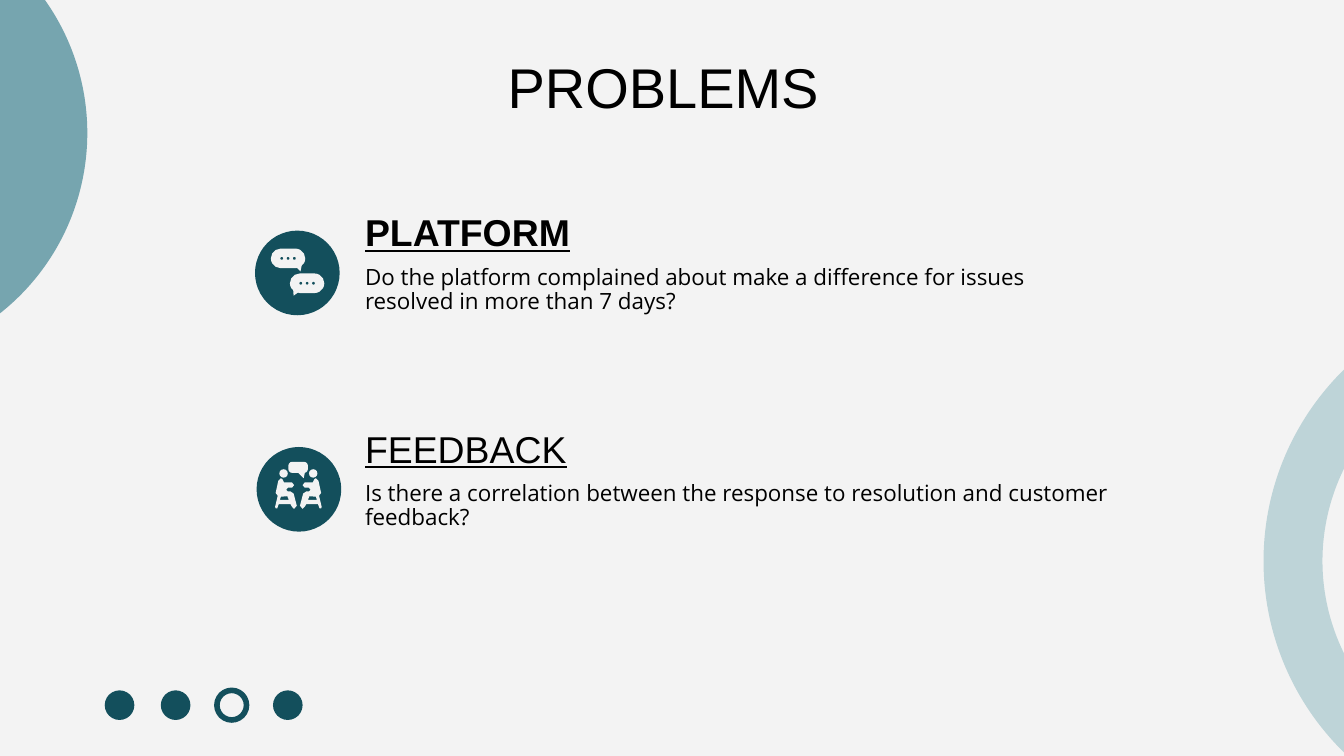
from dataclasses import dataclass

from pptx import Presentation
from pptx.dml.color import RGBColor
from pptx.enum.shapes import MSO_SHAPE
from pptx.enum.text import MSO_ANCHOR, PP_ALIGN
from pptx.shapes.autoshape import Shape
from pptx.slide import Slide
from pptx.util import Cm, Pt

OVAL = MSO_SHAPE.OVAL
DONUT = MSO_SHAPE.DONUT
ROUNDED = MSO_SHAPE.ROUNDED_RECTANGLE
TOP, BOTTOM = MSO_ANCHOR.TOP, MSO_ANCHOR.BOTTOM
LEFT, CENTER = PP_ALIGN.LEFT, PP_ALIGN.CENTER

Point = tuple[float, float]


@dataclass(frozen=True)
class Theme:
    paper: RGBColor = RGBColor(0xF3, 0xF3, 0xF3)
    ink: RGBColor = RGBColor(0, 0, 0)
    teal: RGBColor = RGBColor(0x13, 0x4F, 0x5C)
    mist: RGBColor = RGBColor(0x76, 0xA5, 0xAF)
    pale: RGBColor = RGBColor(0xBE, 0xD4, 0xD8)
    heading_font: str = "Arial"
    body_font: str = "Open Sans"
    title_size: int = 30
    heading_size: int = 20
    body_size: int = 12


@dataclass(frozen=True)
class Box:
    left: float
    top: float
    width: float
    height: float


@dataclass(frozen=True)
class Topic:
    heading: str
    body: str
    bold: bool
    badge_left: float


@dataclass(frozen=True)
class Bubble:
    box: Box
    corner: float
    tail: list[Point]
    dotted: bool


THEME = Theme()
HEADING = {"name": THEME.heading_font, "size": Pt(THEME.heading_size), "underline": True}
TITLE = {"name": THEME.heading_font, "size": Pt(THEME.title_size)}
BODY = {"name": THEME.body_font, "size": Pt(THEME.body_size)}

TOPICS = [
    Topic("PLATFORM", "Do the platform complained about make a difference for issues "
          "resolved in more than 7 days?", True, 4.82),
    Topic("FEEDBACK", "Is there a correlation between the response to resolution and "
          "customer feedback?", False, 4.85),
]
TOPIC_TOP, TOPIC_PITCH = 3.99, 4.09

BUBBLES = [
    Bubble(Box(5.12, 4.7, 0.65, 0.37), 0.5, [(5.55, 5.0), (5.68, 5.13), (5.71, 4.98)], True),
    Bubble(Box(5.48, 5.17, 0.65, 0.37), 0.5, [(5.54, 5.45), (5.55, 5.59), (5.7, 5.48)], True),
    Bubble(Box(5.45, 8.73, 0.37, 0.21), 0.35, [(5.6, 8.9), (5.74, 9.04), (5.77, 8.9)], False),
]

MIRROR_AXIS = 5.64
HEAD = Box(5.28, 8.87, 0.16, 0.16)
SEATED_BODY = [
    (5.31, 9.04), (5.26, 9.09), (5.21, 9.32), (5.25, 9.37), (5.2, 9.58), (5.21, 9.61),
    (5.24, 9.61), (5.27, 9.53), (5.49, 9.53), (5.52, 9.58), (5.56, 9.62), (5.61, 9.56),
    (5.55, 9.33), (5.49, 9.29), (5.44, 9.29), (5.41, 9.26), (5.44, 9.22), (5.52, 9.22),
    (5.56, 9.17), (5.52, 9.12), (5.37, 9.12), (5.34, 9.06),
]
STOOL_GAP = [(5.43, 9.38), (5.46, 9.45), (5.29, 9.45), (5.31, 9.39)]


def paint(shape: Shape, color: RGBColor) -> Shape:
    shape.shadow.inherit = False
    shape.fill.solid()
    shape.fill.fore_color.rgb = color
    shape.line.fill.background()
    return shape


def add_preset(page: Slide, kind: MSO_SHAPE, box: Box, color: RGBColor) -> Shape:
    shape = page.shapes.add_shape(
        kind, Cm(box.left), Cm(box.top), Cm(box.width), Cm(box.height))
    return paint(shape, color)


def add_outline(page: Slide, contours: list[list[Point]], color: RGBColor) -> Shape:
    scaled = [[(Cm(x), Cm(y)) for x, y in contour] for contour in contours]
    builder = page.shapes.build_freeform(*scaled[0][0])
    for index, contour in enumerate(scaled):
        if index:
            builder.move_to(*contour[0])
        builder.add_line_segments(contour[1:], close=True)
    return paint(builder.convert_to_shape(), color)


def add_text(page: Slide, box: Box, text: str, font: dict, anchor: MSO_ANCHOR = TOP,
             align: PP_ALIGN = LEFT, spacing: float = 1.0, inset_top: float = 0.25) -> None:
    frame = page.shapes.add_textbox(
        Cm(box.left), Cm(box.top), Cm(box.width), Cm(box.height)).text_frame
    layout = {"word_wrap": True, "vertical_anchor": anchor, "margin_left": Cm(0.25),
              "margin_right": Cm(0.25), "margin_top": Cm(inset_top), "margin_bottom": Cm(0.25)}
    for name, value in layout.items():
        setattr(frame, name, value)
    para = frame.paragraphs[0]
    para.alignment = align
    para.line_spacing = spacing
    span = para.add_run()
    span.text = text
    for name, value in font.items():
        setattr(span.font, name, value)
    span.font.color.rgb = THEME.ink


def add_page_dots(page: Slide, count: int, current: int) -> None:
    for index in range(count):
        dot = add_preset(page, OVAL, Box(1.98 + 1.06 * index, 13.05, 0.56, 0.56), THEME.teal)
        if index == current:
            dot.fill.background()
            dot.line.color.rgb = THEME.teal
            dot.line.width = Pt(3)


def add_topic(page: Slide, topic: Topic, top: float) -> None:
    add_preset(page, OVAL, Box(topic.badge_left, top + 0.37, 1.6, 1.6), THEME.teal)
    add_text(page, Box(6.65, top, 14.71, 1.07), topic.heading,
             HEADING | {"bold": topic.bold}, BOTTOM)
    add_text(page, Box(6.65, top + 0.79, 14.71, 1.96), topic.body, BODY, spacing=0.9)


def add_bubble(page: Slide, bubble: Bubble) -> None:
    box = bubble.box
    add_preset(page, ROUNDED, box, THEME.paper).adjustments[0] = bubble.corner
    add_outline(page, [bubble.tail], THEME.paper)
    if bubble.dotted:
        size, step = 0.05, 0.12
        for offset in (-step, 0, step):
            left = box.left + (box.width - size) / 2 + offset
            top = box.top + (box.height - size) / 2
            add_preset(page, OVAL, Box(left, top, size, size), THEME.teal)


def add_person(page: Slide, mirrored: bool) -> None:
    def flip(x: float) -> float:
        return 2 * MIRROR_AXIS - x if mirrored else x

    head_left = flip(HEAD.left + HEAD.width / 2) - HEAD.width / 2
    add_preset(page, OVAL, Box(head_left, HEAD.top, HEAD.width, HEAD.height), THEME.paper)
    contours = [[(flip(x), y) for x, y in part] for part in (SEATED_BODY, STOOL_GAP)]
    add_outline(page, contours, THEME.paper)


def main() -> None:
    deck = Presentation()
    deck.slide_width, deck.slide_height = Cm(25.4), Cm(14.29)
    page = deck.slides.add_slide(deck.slide_layouts[6])
    page.background.fill.solid()
    page.background.fill.fore_color.rgb = THEME.paper

    add_page_dots(page, count=4, current=2)
    add_preset(page, OVAL, Box(-7.04, -1.83, 8.69, 8.69), THEME.mist)
    add_preset(page, DONUT, Box(23.88, 5.54, 10.13, 10.13), THEME.pale).adjustments[0] = 0.11

    add_text(page, Box(1.83, 0.64, 21.41, 1.6), "PROBLEMS", TITLE,
             align=CENTER, inset_top=0.35)
    for index, topic in enumerate(TOPICS):
        add_topic(page, topic, TOPIC_TOP + TOPIC_PITCH * index)
    for bubble in BUBBLES:
        add_bubble(page, bubble)
    for mirrored in (False, True):
        add_person(page, mirrored)

    deck.save("out.pptx")


if __name__ == "__main__":
    main()
